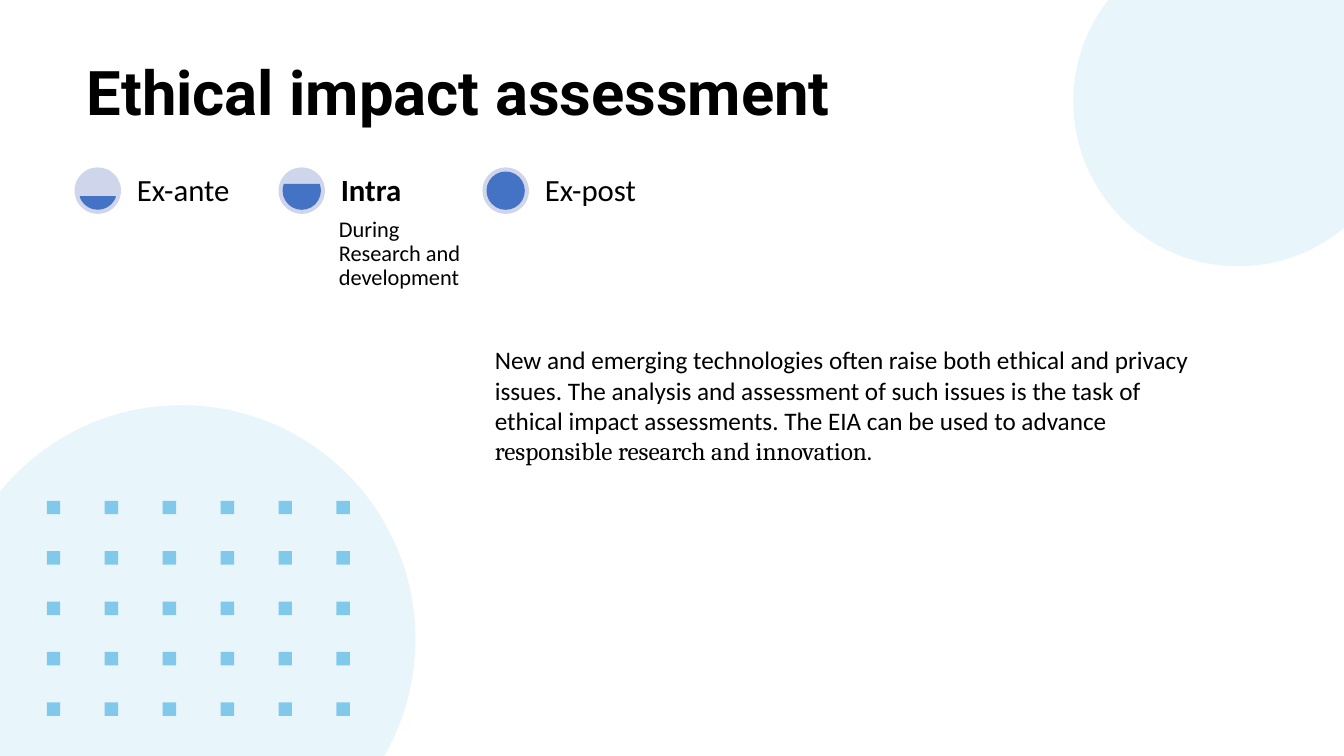
"""Build the ethical impact assessment slide."""
from dataclasses import dataclass
from itertools import product

from lxml.etree import SubElement
from pptx import Presentation
from pptx.dml.color import RGBColor
from pptx.enum.shapes import MSO_SHAPE
from pptx.enum.text import MSO_ANCHOR, MSO_AUTO_SIZE, PP_ALIGN
from pptx.oxml.ns import qn
from pptx.shapes.autoshape import Shape
from pptx.slide import Slide
from pptx.text.text import TextFrame
from pptx.util import Cm, Pt


@dataclass(frozen=True)
class Theme:
    text: str = "000000"
    pale_blue: str = "CDEBF7"
    dot_blue: str = "169DD9"
    stage_back: str = "CFD5EA"
    stage_level: str = "4472C4"
    title_font: str = "Roboto"
    body_font: str = "Calibri"
    accent_font: str = "Cambria"
    title_size: int = 44
    stage_size: int = 22
    detail_size: int = 16
    body_size: int = 18


@dataclass(frozen=True)
class Box:
    left: float
    top: float
    width: float
    height: float

    def lengths(self) -> tuple[Cm, Cm, Cm, Cm]:
        return Cm(self.left), Cm(self.top), Cm(self.width), Cm(self.height)


@dataclass(frozen=True)
class TextRun:
    text: str
    font: str
    size: int
    bold: bool = False


@dataclass(frozen=True)
class Stage:
    label: str
    chord: tuple[float, float]
    bold: bool = False
    detail: str = ""


THEME = Theme()
TITLE_BOX = Box(1.93, 1.45, 29.21, 2.18)
BODY_BOX = Box(12.22, 8.56, 18.52, 3.33)
CIRCLES = (Box(-1.32, 10.21, 11.79, 11.79), Box(27.05, -1.6, 8.31, 8.31))
DOT_ROWS, DOT_COLUMNS = 5, 6
STAGES = (
    Stage("Ex-ante", (11.68, 96.32)),
    Stage("Intra", (204.32, 119.68), True, "During Research and development"),
    Stage("Ex-post", (162, 162)),
)
BODY_RUNS = (
    TextRun(
        "New and emerging technologies often raise both ethical and privacy issues. "
        "The analysis and assessment of such issues is the task of ethical impact "
        "assessments. The EIA can be used to advance ",
        THEME.body_font,
        THEME.body_size,
    ),
    TextRun("responsible research and innovation.", THEME.accent_font, THEME.body_size),
)


def add_filled_shape(
    slide: Slide, kind: MSO_SHAPE, box: Box, color: str, opacity: int = 100
) -> Shape:
    shape = slide.shapes.add_shape(kind, *box.lengths())
    shape.shadow.inherit = False
    shape.line.fill.background()
    shape.fill.solid()
    shape.fill.fore_color.rgb = RGBColor.from_string(color)
    if opacity < 100:
        fill_color = shape._element.spPr.find(qn("a:solidFill")).find(qn("a:srgbClr"))
        SubElement(fill_color, qn("a:alpha"), val=str(opacity * 1000))
    return shape


def write_text(
    text_frame: TextFrame, runs: tuple[TextRun, ...], line_spacing: float = 1.0
) -> None:
    text_frame.word_wrap = True
    text_frame.auto_size = MSO_AUTO_SIZE.NONE
    paragraph = text_frame.paragraphs[0]
    paragraph.alignment = PP_ALIGN.LEFT
    paragraph.line_spacing = line_spacing
    for text_run in runs:
        run = paragraph.add_run()
        run.text = text_run.text
        run.font.name = text_run.font
        run.font.size = Pt(text_run.size)
        run.font.bold = text_run.bold
        run.font.color.rgb = RGBColor.from_string(THEME.text)


def add_stage_text(
    slide: Slide, box: Box, text_run: TextRun, margin: float, anchor: MSO_ANCHOR
) -> None:
    text_frame = slide.shapes.add_textbox(*box.lengths()).text_frame
    text_frame.margin_left = text_frame.margin_right = Cm(margin)
    text_frame.margin_top = text_frame.margin_bottom = Cm(margin)
    text_frame.vertical_anchor = anchor
    write_text(text_frame, (text_run,), 0.9)


def add_background(slide: Slide) -> None:
    for circle in CIRCLES:
        add_filled_shape(slide, MSO_SHAPE.OVAL, circle, THEME.pale_blue, 46)
    for row, column in product(range(DOT_ROWS), range(DOT_COLUMNS)):
        dot = Box(1.18 + 1.46 * column, 12.62 + 1.27 * row, 0.34, 0.34)
        add_filled_shape(slide, MSO_SHAPE.RECTANGLE, dot, THEME.dot_blue, 49)


def add_stage(slide: Slide, stage: Stage, left: float, top: float) -> None:
    diameter, inset, text_offset, text_width = 1.17, 0.12, 1.42, 3.48
    back = Box(left, top, diameter, diameter)
    add_filled_shape(slide, MSO_SHAPE.OVAL, back, THEME.stage_back)
    level_size = diameter - 2 * inset
    level_box = Box(left + inset, top + inset, level_size, level_size)
    level = add_filled_shape(slide, MSO_SHAPE.CHORD, level_box, THEME.stage_level)
    level.adjustments[0], level.adjustments[1] = stage.chord
    level.line.color.rgb = RGBColor.from_string(THEME.stage_level)
    level.line.width = Pt(1)

    label_box = Box(left + text_offset, top, text_width, diameter)
    label = TextRun(stage.label, THEME.body_font, THEME.stage_size, stage.bold)
    add_stage_text(slide, label_box, label, 0.15, MSO_ANCHOR.BOTTOM)
    if stage.detail:
        detail_box = Box(left + text_offset, top + diameter, text_width, 4.95)
        detail = TextRun(stage.detail, THEME.body_font, THEME.detail_size)
        add_stage_text(slide, detail_box, detail, 0.1, MSO_ANCHOR.TOP)


def add_title(slide: Slide) -> None:
    title = slide.shapes.title
    title.left, title.top, title.width, title.height = TITLE_BOX.lengths()
    title.text_frame.vertical_anchor = MSO_ANCHOR.TOP
    heading = TextRun(
        "Ethical impact assessment", THEME.title_font, THEME.title_size, True
    )
    write_text(title.text_frame, (heading,), 0.9)


def main() -> None:
    presentation = Presentation()
    presentation.slide_width, presentation.slide_height = Cm(33.87), Cm(19.05)
    slide = presentation.slides.add_slide(presentation.slide_layouts[5])
    add_background(slide)
    add_title(slide)
    for index, stage in enumerate(STAGES):
        add_stage(slide, stage, 1.88 + 5.14 * index, 4.22)
    body = slide.shapes.add_textbox(*BODY_BOX.lengths())
    write_text(body.text_frame, BODY_RUNS)
    presentation.save("out.pptx")


if __name__ == "__main__":
    main()
